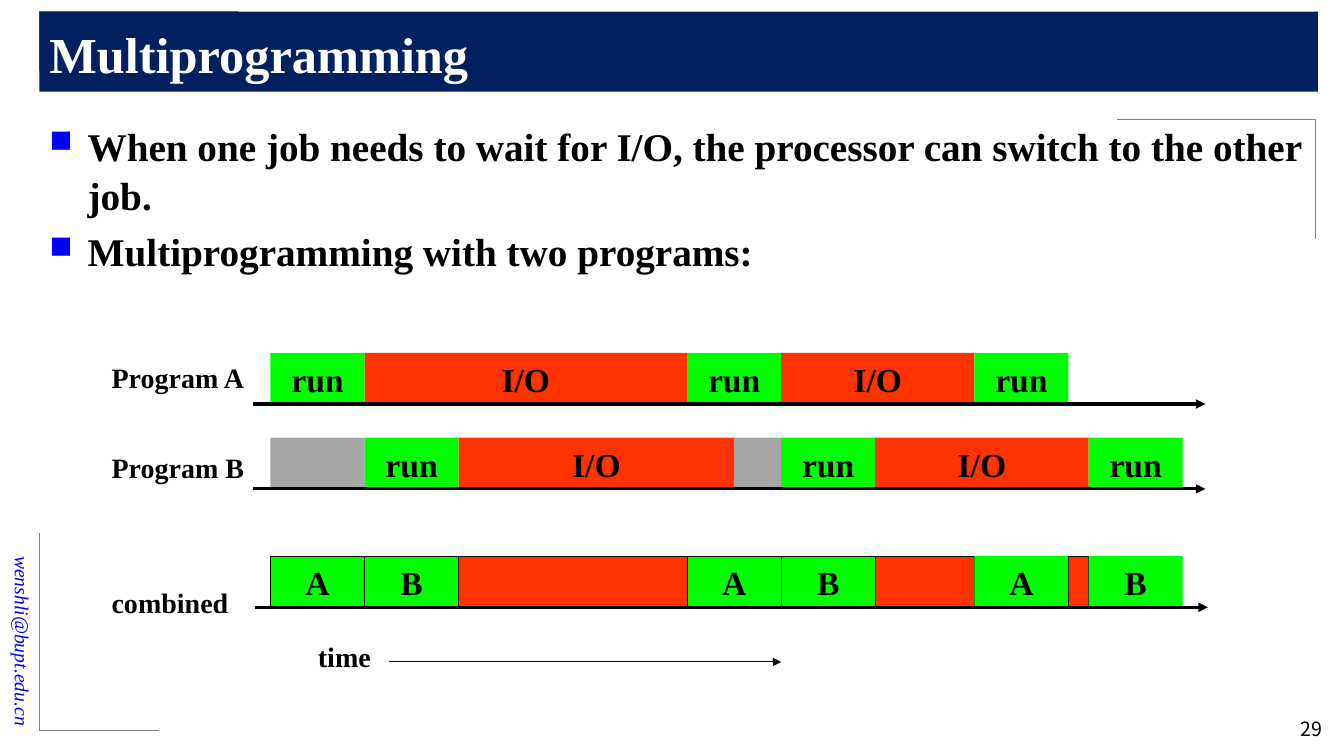
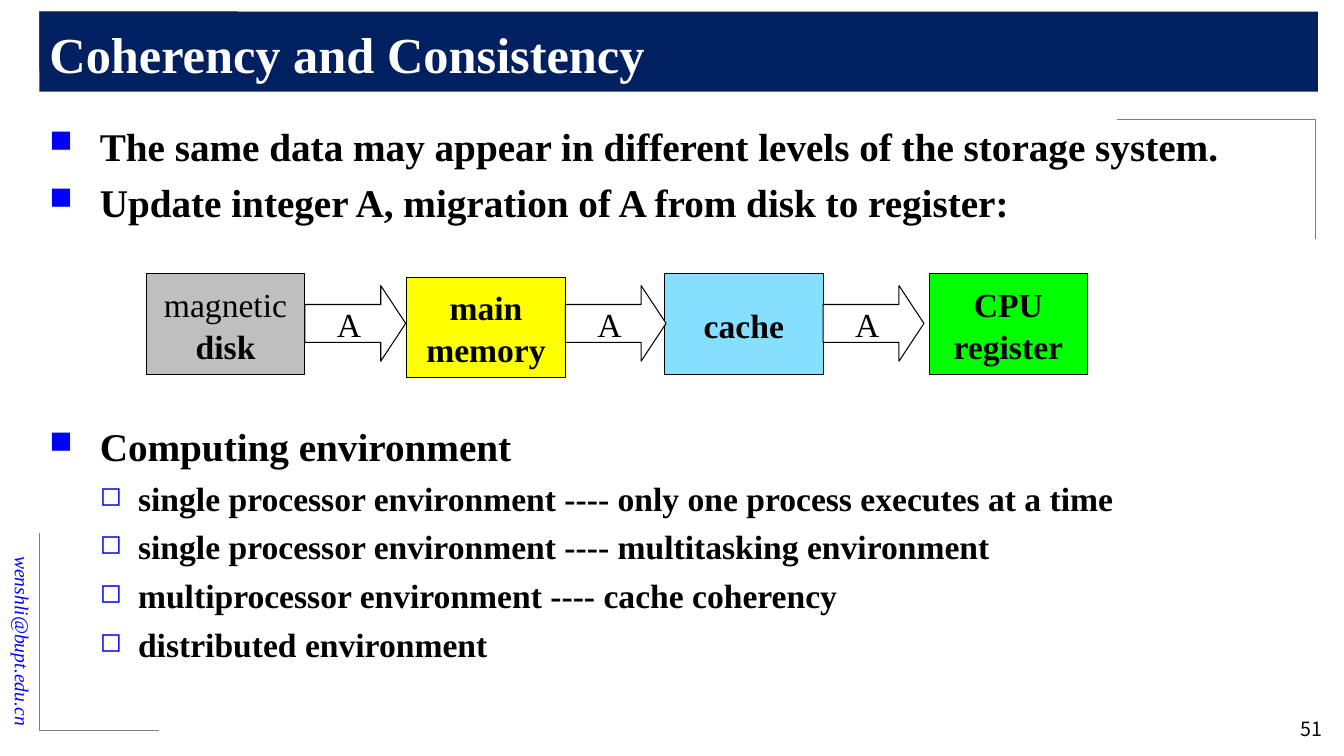
from lxml.etree import SubElement
from pptx import Presentation
from pptx.dml.color import RGBColor
from pptx.enum.shapes import MSO_CONNECTOR, MSO_SHAPE
from pptx.enum.text import MSO_ANCHOR, PP_ALIGN
from pptx.oxml.ns import qn
from pptx.util import Inches, Pt

COLS, ROWS = 160, 90
CELL = Inches(1) / 12
SERIF, SANS = "Times New Roman", "Noto Sans CJK SC"
NAVY, BLUE, GREY, BLACK, WHITE = "002060", "0000FF", "808080", "000000", "FFFFFF"
GREEN, RED, SHADE = "00FF00", "FF3300", "A6A6A6"
RUN = 11.2


def grid(*cells):
    """Turn grid cells into slide lengths."""
    return [round(cell * CELL) for cell in cells]


def paint(target, code):
    """Give a fill, or a line's fill, one solid colour."""
    target.solid()
    target.fore_color.rgb = RGBColor.from_string(code)


def mark(para, char, left, hang):
    """Put a bullet before a paragraph; left and hang are in inches."""
    props = para._p.get_or_add_pPr()
    props.set("marL", str(Inches(left)))
    props.set("indent", str(-Inches(hang)))
    tint = SubElement(props, qn("a:buClr"))
    SubElement(tint, qn("a:srgbClr"), val=BLUE)
    SubElement(props, qn("a:buSzPct"), val="80000")
    SubElement(props, qn("a:buChar"), char=char)


def write(frame, lines, **style):
    """Fill a frame; a line is text, or text with changes to the style."""
    for num, line in enumerate(lines):
        words, change = (line, {}) if isinstance(line, str) else line
        form = dict(size=24, font=SERIF, color=BLACK, bold=True, italic=False,
                    align=PP_ALIGN.LEFT, before=0, bullet=None) | style | change
        para = frame.paragraphs[0] if num == 0 else frame.add_paragraph()
        if form["bullet"]:
            mark(para, *form["bullet"])
        para.alignment = form["align"]
        para.line_spacing = 1.04
        para.space_before = Pt(form["before"] if num else 0)
        run = para.add_run()
        run.text = words
        run.font.name, run.font.size = form["font"], Pt(form["size"])
        run.font.bold, run.font.italic = form["bold"], form["italic"]
        run.font.color.rgb = RGBColor.from_string(form["color"])


class Deck:
    def __init__(self):
        self.file = Presentation()
        self.file.slide_width, self.file.slide_height = grid(COLS, ROWS)
        self.slide = None

    def page(self, title, number):
        """Start a slide with its frame, title band and number."""
        self.slide = self.file.slides.add_slide(self.file.slide_layouts[6])
        mail = self.text(0.7, 55.9, 4.1, 31.7, ["wenshli@bupt.edu.cn"], size=14,
                         color=BLUE, bold=False, italic=True, align=PP_ALIGN.RIGHT)
        mail.vertical_anchor = MSO_ANCHOR.MIDDLE
        mail._txBody.bodyPr.set("vert", "vert")
        for x, y, wide, high in ((4.7, 1.4, 23.6, 7.1), (4.7, 86.9, 14.2, -23.5),
                                 (156.6, 14.2, -23.6, 14.2)):
            self.line(x, y, x + wide, y, GREY, 0.5)
            self.line(x, y, x, y + high, GREY, 0.5)
        band = self.box(4.7, 1.4, 152.2, 9.5, NAVY, [title], size=36,
                        color=WHITE, align=PP_ALIGN.LEFT)
        band.text_frame.margin_left = Inches(0.1)
        self.text(145.3, 84.7, 13.3, 4.3, [str(number)], size=14, font=SANS,
                  bold=False, align=PP_ALIGN.RIGHT)

    def text(self, x, y, wide, high, lines, **style):
        frame = self.slide.shapes.add_textbox(*grid(x, y, wide, high)).text_frame
        frame.word_wrap = True
        write(frame, lines, **style)
        return frame

    def body(self, lines, **style):
        self.text(4.7, 13.7, 151.7, 73.2, lines, size=28, before=5.6, **style)

    def box(self, x, y, wide, high, fill, lines=(), edge=False,
            kind=MSO_SHAPE.RECTANGLE, **style):
        shape = self.slide.shapes.add_shape(kind, *grid(x, y, wide, high))
        shape.shadow.inherit = False
        paint(shape.fill, fill)
        if edge:
            paint(shape.line.fill, BLACK)
            shape.line.width = Pt(0.75)
        else:
            shape.line.fill.background()
        frame = shape.text_frame
        frame.word_wrap = False
        frame.vertical_anchor = MSO_ANCHOR.MIDDLE
        frame.margin_left = frame.margin_right = 0
        write(frame, lines, **dict(align=PP_ALIGN.CENTER) | style)
        return shape

    def line(self, x, y, to_x, to_y, color=BLACK, width=0.75, arrow=False):
        link = self.slide.shapes.add_connector(
            MSO_CONNECTOR.STRAIGHT, *grid(x, y, to_x, to_y))
        paint(link.line.fill, color)
        link.line.width = Pt(width)
        if arrow:
            SubElement(link.line._get_or_add_ln(), qn("a:tailEnd"), type="triangle")
        SubElement(link._element.spPr, qn("a:effectLst"))

    def track(self, top, name, drop, bits, shift=0):
        """Draw one time line; a bit is fill, width, label and edge."""
        x = 32.2
        for fill, wide, label, edge in bits:
            self.box(x, top, wide, 6.1, fill, [label] if label else [], edge)
            x += wide
        self.line(30.1 + shift, top + 6.1, 143.5 + shift, top + 6.1,
                  width=2.25, arrow=True)
        self.text(12.1, top + drop, 18.4, 5.2, [name], size=20)


def work(label="run", edge=False):
    return GREEN, RUN, label, edge


def wait(wide, label="I/O", edge=False):
    return RED, wide, label, edge


def idle(wide):
    return SHADE, wide, "", False


def programs(deck):
    deck.page("Multiprogramming", 29)
    deck.body(["When one job needs to wait for I/O, the processor can switch "
               "to the other job.",
               "Multiprogramming with two programs:"], bullet=("■", 0.38, 0.38))
    deck.track(42, "Program A", 0.2,
               [work(), wait(38.4), work(), wait(23), work()])
    deck.track(52.1, "Program B", 0.8,
               [idle(RUN), work(), wait(32.8), idle(RUN / 2), work(),
                wait(25.4), work()])
    deck.track(66.2, "combined", 2.8,
               [work("A", True), work("B", True), wait(27.2, "", True),
                work("A", True), work("B", True), wait(11.8, "", True),
                work("A"), wait(2.4, "", True), work("B")], shift=0.3)
    deck.text(36.6, 75.4, 8.8, 5.3, ["time"], size=20, align=PP_ALIGN.CENTER)
    deck.line(46.3, 78.8, 93, 78.8, arrow=True)


def levels(deck):
    deck.page("Coherency and Consistency", 51)
    sub = dict(size=24, before=4.8, bullet=("◻", 0.88, 0.38))
    cases = ["single processor environment ---- only one process executes at a time",
             "single processor environment ---- multitasking environment",
             "multiprocessor environment ---- cache coherency",
             "distributed environment"]
    deck.body(["The same data may appear in different levels of the storage system.",
               "Update integer A, migration of A from disk to register:",
               ("Computing environment", dict(before=139)),
               *[(case, sub) for case in cases]], bullet=("■", 0.5, 0.5))
    wide = 18.9
    stores = [(17.4, 32.6, "BFBFBF", [("magnetic", dict(bold=False)), "disk"]),
              (48.4, 33, "FFFF00", ["main", "memory"]),
              (79.1, 32.6, "85E0FF", ["cache"]),
              (110.6, 32.6, GREEN, ["CPU", "register"])]
    for x, y, fill, lines in stores:
        deck.box(x, y, wide, 12, fill, lines, edge=True)
    for x, *_ in stores[:-1]:
        arrow = deck.box(x + wide, 34, 12, 9, WHITE, ["A"], edge=True,
                         kind=MSO_SHAPE.RIGHT_ARROW, bold=False)
        arrow.adjustments[0], arrow.adjustments[1] = 0.5, 0.33


def main():
    deck = Deck()
    programs(deck)
    levels(deck)
    deck.file.save("out.pptx")


if __name__ == "__main__":
    main()
